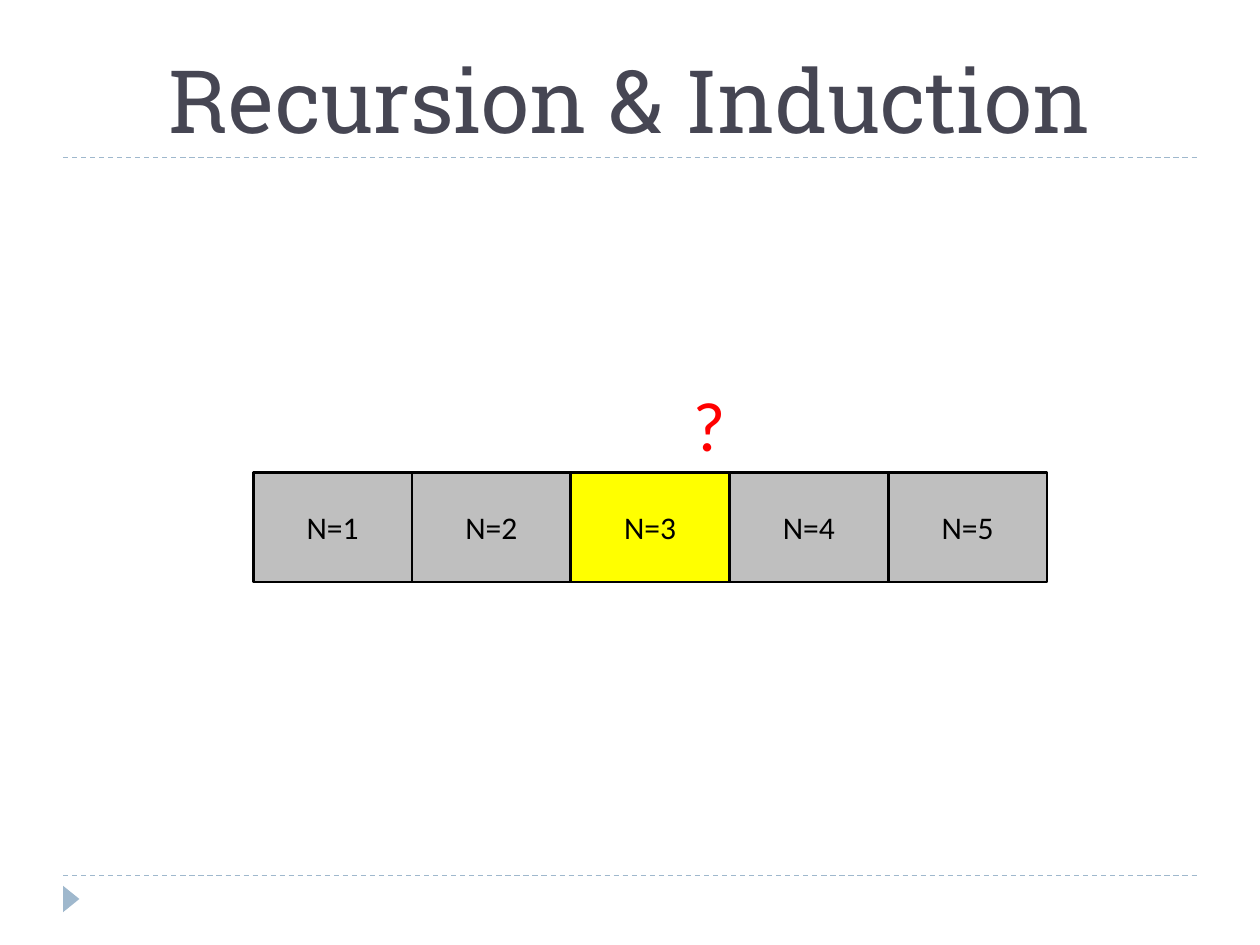
from lxml import etree
from pptx import Presentation
from pptx.dml.color import RGBColor
from pptx.enum.dml import MSO_LINE
from pptx.enum.shapes import MSO_CONNECTOR, MSO_SHAPE
from pptx.enum.text import MSO_ANCHOR, PP_ALIGN
from pptx.oxml.ns import qn
from pptx.util import Inches, Pt

RECT, TRI = MSO_SHAPE.RECTANGLE, MSO_SHAPE.ISOSCELES_TRIANGLE
STRAIGHT, DASH = MSO_CONNECTOR.STRAIGHT, MSO_LINE.DASH
LEFT, CENTER = PP_ALIGN.LEFT, PP_ALIGN.CENTER
TOP, MIDDLE, BOTTOM = MSO_ANCHOR.TOP, MSO_ANCHOR.MIDDLE, MSO_ANCHOR.BOTTOM

BLUE = RGBColor(0x9F, 0xB8, 0xCD)
SLATE = RGBColor(0x46, 0x46, 0x53)
GRAY = RGBColor(0xBF, 0xBF, 0xBF)
YELLOW = RGBColor(0xFF, 0xFF, 0x00)
BLACK = RGBColor(0x00, 0x00, 0x00)
RED = RGBColor(0xFF, 0x00, 0x00)

WIDE, HIGH = 10, 7.5
EDGE = 0.05 * WIDE          # side margin
ROW_X, ROW_Y = 2.01, HIGH / 2
CELL_W, CELL_H = 1.26, 0.87
COUNT, HOT = 5, 3           # cells in the row, highlighted cell

TITLE = {"size": Pt(50), "name": "Roboto Slab"}
LABEL = {"size": Pt(18), "name": "Calibri"}
MARK = {"size": Pt(40), "name": "Calibri"}


def write(shape, text, style, color, align, anchor, wrap=True):
    frame = shape.text_frame
    frame.word_wrap = wrap
    frame.vertical_anchor = anchor
    para = frame.paragraphs[0]
    para.alignment = align
    run = para.add_run()
    run.text = text
    for key, value in style.items():
        setattr(run.font, key, value)
    run.font.color.rgb = color


def add_text(slide, box, *look, **flags):
    write(slide.shapes.add_textbox(*map(Inches, box)), *look, **flags)


def add_rule(slide, y):
    ends = map(Inches, (EDGE, y, WIDE - EDGE, y))
    rule = slide.shapes.add_connector(STRAIGHT, *ends)
    rule.line.color.rgb = BLUE
    rule.line.width = Pt(0.75)
    rule.line.dash_style = DASH
    etree.SubElement(rule.element.spPr, qn("a:effectLst"))


def add_shape(slide, kind, box, fill):
    shape = slide.shapes.add_shape(kind, *map(Inches, box))
    shape.shadow.inherit = False
    shape.fill.solid()
    shape.fill.fore_color.rgb = fill
    shape.line.fill.background()
    return shape


def add_cell(slide, n):
    box = (ROW_X + (n - 1) * CELL_W, ROW_Y, CELL_W, CELL_H)
    cell = add_shape(slide, RECT, box, YELLOW if n == HOT else GRAY)
    cell.line.color.rgb = BLACK
    cell.line.width = Pt(1.5)
    write(cell, f"N={n}", LABEL, BLACK, CENTER, MIDDLE)


def main():
    deck = Presentation()
    deck.slide_width, deck.slide_height = Inches(WIDE), Inches(HIGH)
    slide = deck.slides.add_slide(deck.slide_layouts[6])

    # Frame: dashed rules and corner marker
    for y in (6.95, 1.25):
        add_rule(slide, y)
    add_shape(slide, TRI, (0.46, 7.07, 0.21, 0.13), BLUE).rotation = 90

    # Title
    add_text(slide, (EDGE, 0.17, WIDE - 2 * EDGE, 1.08),
             "Recursion & Induction", TITLE, SLATE, CENTER, BOTTOM)

    # Row of cells, with the question above the highlighted one
    for n in range(1, COUNT + 1):
        add_cell(slide, n)
    add_text(slide, (5.4, 2.98, 0.39, 0.77),
             "?", MARK, RED, LEFT, TOP, wrap=False)

    deck.save("out.pptx")


if __name__ == "__main__":
    main()
